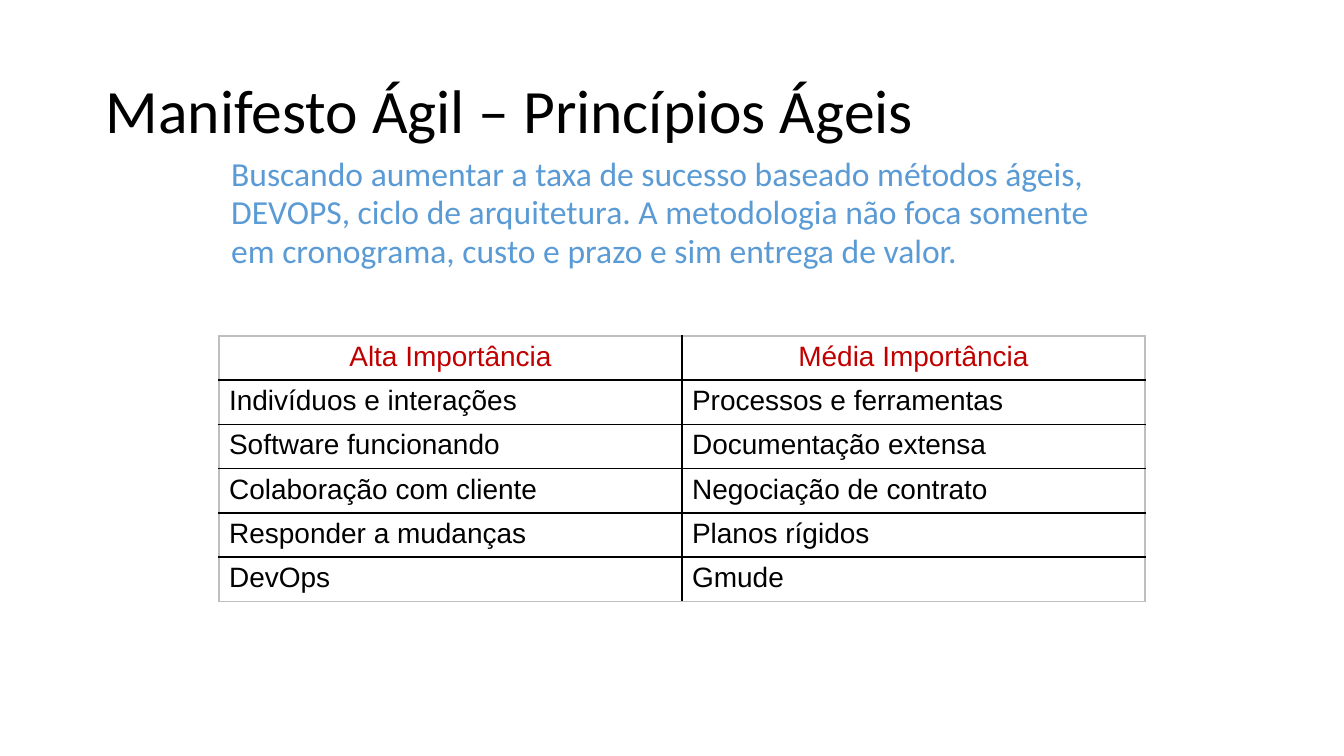
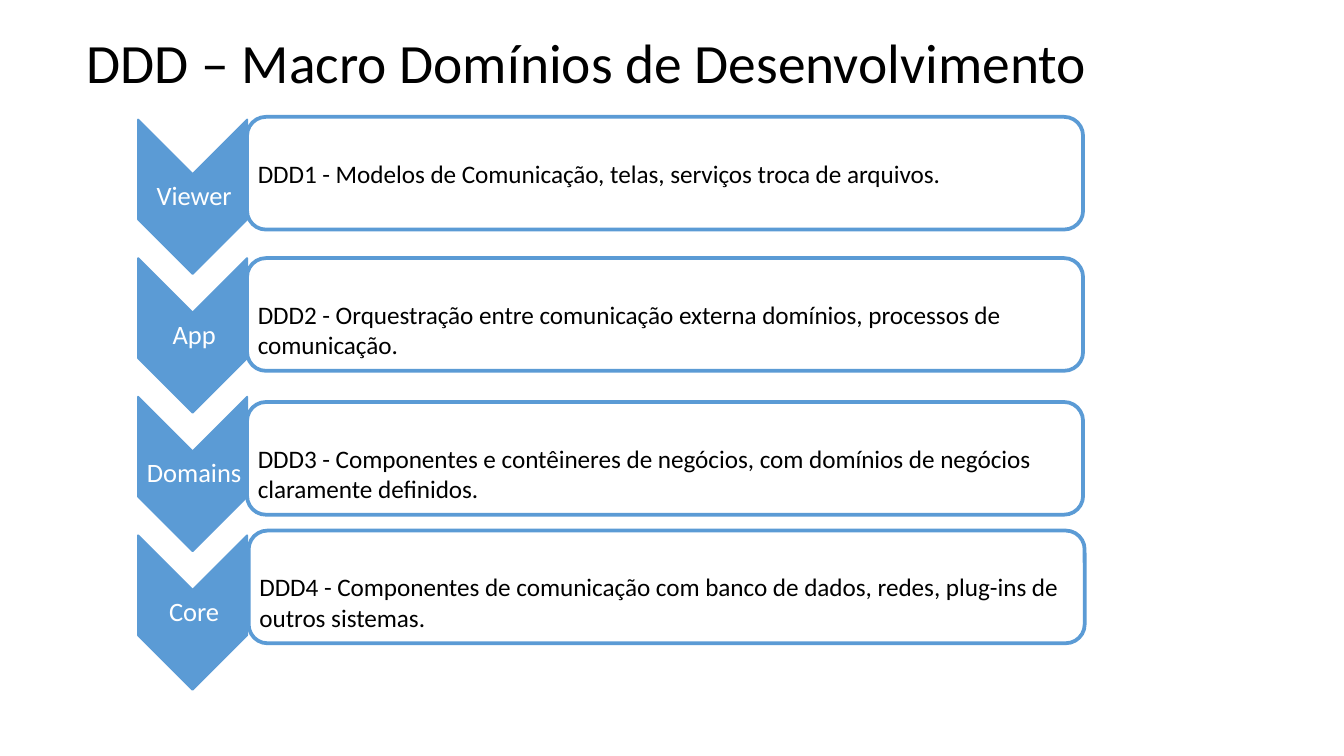
from dataclasses import dataclass

from lxml import etree
from pptx import Presentation, util as u
from pptx.dml.color import RGBColor
from pptx.enum import shapes, text
from pptx.oxml.ns import qn


@dataclass(frozen=True)
class Theme:
    black: str = "000000"
    white: str = "FFFFFF"
    blue: str = "5B9BD5"
    red: str = "C00000"
    grey: str = "BFBFBF"
    body_font: str = "Calibri"
    table_font: str = "Arial"
    title: float = 33
    small_title: float = 29.7
    lead: float = 18
    cell: float = 15
    label: float = 14.2
    note: float = 13.5


theme = Theme()
Cm, Pt, colour = u.Cm, u.Pt, RGBColor.from_string


def write(holder, words, size, ink, font=theme.body_font, align=text.PP_ALIGN.LEFT,
          spacing=1.0, insets=(0.25, 0.13, 0.25, 0.13)):
    """Fill a shape or table cell with one paragraph; insets run left, top, right, bottom."""
    frame = holder.text_frame
    frame.word_wrap = True
    # A cell keeps its margins itself, a shape keeps them in its text frame.
    owner = holder if hasattr(holder, "margin_left") else frame
    owner.margin_left, owner.margin_top, owner.margin_right, owner.margin_bottom = map(Cm, insets)
    owner.vertical_anchor = text.MSO_ANCHOR.TOP
    para = frame.paragraphs[0]
    para.alignment = align
    para.line_spacing = spacing
    span = para.add_run()
    span.text = words
    span.font.name = font
    span.font.size = Pt(size)
    span.font.color.rgb = colour(ink)
    return frame


def add_border(cell, side, ink):
    """Draw one cell edge; side is L, R, T or B."""
    line = etree.SubElement(cell._tc.get_or_add_tcPr(), qn(f"a:ln{side}"), w=str(Pt(1)))
    fill = etree.SubElement(line, qn("a:solidFill"))
    etree.SubElement(fill, qn("a:srgbClr"), val=ink)


deck = Presentation()
deck.slide_width, deck.slide_height = Cm(25.4), Cm(14.29)
blank = deck.slide_layouts[6]

# Slide 1: agile principles
page = deck.slides.add_slide(blank)
box = page.shapes.add_textbox(Cm(1.75), Cm(0.76), Cm(21.9), Cm(2.77))
frame = write(box, "Manifesto Ágil – Princípios Ágeis", theme.title, theme.black, spacing=0.9)
frame.vertical_anchor = text.MSO_ANCHOR.MIDDLE

box = page.shapes.add_textbox(Cm(4.12), Cm(2.82), Cm(16.81), Cm(9.98))
write(box, "Buscando aumentar a taxa de sucesso baseado métodos ágeis, DEVOPS, ciclo de "
      "arquitetura. A metodologia não foca somente em cronograma, custo e prazo e sim "
      "entrega de valor.", theme.lead, theme.blue, spacing=0.95)

principles = [
    ("Alta Importância", "Média Importância"),
    ("Indivíduos e interações", "Processos e ferramentas"),
    ("Software funcionando", "Documentação extensa"),
    ("Colaboração com cliente", "Negociação de contrato"),
    ("Responder a mudanças", "Planos rígidos"),
    ("DevOps", "Gmude"),
]
last_row, last_column = len(principles) - 1, len(principles[0]) - 1
table = page.shapes.add_table(len(principles), len(principles[0]),
                              Cm(4.14), Cm(6.35), Cm(17.5), Cm(4.95)).table
table.first_row = table.horz_banding = False
for r, row in enumerate(principles):
    for c, words in enumerate(row):
        cell = table.cell(r, c)
        header = r == 0
        write(cell, words, theme.cell, theme.red if header else theme.black, theme.table_font,
              text.PP_ALIGN.CENTER if header else text.PP_ALIGN.LEFT,
              insets=(0.19, 0.1, 0.19, 0.1))
        outer = {"L": c == 0, "R": c == last_column, "T": r == 0, "B": r == last_row}
        for side, on_edge in outer.items():
            add_border(cell, side, theme.grey if on_edge else theme.black)
        cell.fill.solid()
        cell.fill.fore_color.rgb = colour(theme.white)

# Slide 2: development domains
page = deck.slides.add_slide(blank)
box = page.shapes.add_textbox(Cm(1.45), Cm(0.63), Cm(20.19), Cm(1.3))
frame = write(box, "DDD – Macro Domínios de Desenvolvimento", theme.small_title, theme.black,
              spacing=0.8, insets=(0.19, 0.1, 0.19, 0.1))
frame.vertical_anchor = text.MSO_ANCHOR.MIDDLE

# Label, note, left and top of the note, extra space above the note
domains = [
    ("Viewer", "DDD1 - Modelos de Comunicação, telas, serviços troca de arquivos.",
     4.67, 2.21, 0),
    ("App", "DDD2 - Orquestração entre comunicação externa domínios, processos de comunicação.",
     4.67, 4.88, 0.57),
    ("Domains", "DDD3 - Componentes e contêineres de negócios, com domínios de negócios "
     "claramente definidos.", 4.67, 7.6, 0.57),
    ("Core", "DDD4 - Componentes de comunicação com banco de dados, redes, plug-ins de "
     "outros sistemas.", 4.7, 10.03, 0.57),
]
step = 2.62
for i, (label, *_) in enumerate(domains):
    group = page.shapes.add_group_shape()
    chevron = group.shapes.add_shape(shapes.MSO_SHAPE.CHEVRON, Cm(2.18), Cm(2.69 + i * step),
                                     Cm(2.92), Cm(2.06))
    chevron.rotation = 90
    chevron.shadow.inherit = False
    chevron.fill.solid()
    chevron.fill.fore_color.rgb = chevron.line.color.rgb = colour(theme.blue)
    chevron.line.width = Pt(1)
    box = group.shapes.add_textbox(Cm(2.64), Cm(3.28 + i * step), Cm(2.06), Cm(0.89))
    frame = write(box, label, theme.label, theme.white, align=text.PP_ALIGN.CENTER,
                  spacing=0.9, insets=(0.02, 0.02, 0.02, 0.02))
    frame.vertical_anchor = text.MSO_ANCHOR.MIDDLE

for _, note, left, top, space_above in domains:
    card = page.shapes.add_shape(shapes.MSO_SHAPE.ROUNDED_RECTANGLE, Cm(left), Cm(top),
                                 Cm(15.8), Cm(2.13))
    card.shadow.inherit = False
    card.fill.solid()
    card.fill.fore_color.rgb = colour(theme.white)
    card.line.color.rgb = colour(theme.blue)
    card.line.width = Pt(2)
    frame = write(card, note, theme.note, theme.black, insets=(0.1, 0.1 + space_above, 0.1, 0.1))
    frame.vertical_anchor = text.MSO_ANCHOR.MIDDLE

deck.save("out.pptx")
